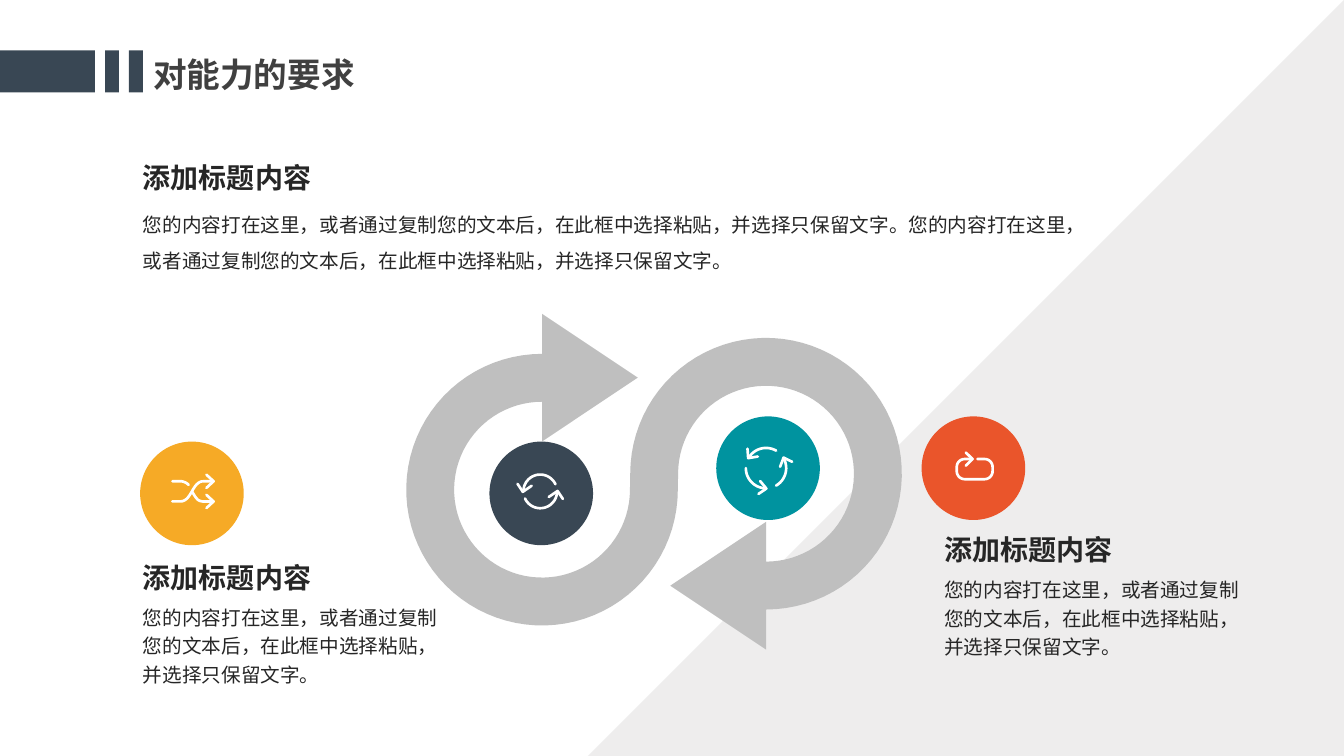
from dataclasses import dataclass
from math import cos, radians, sin

from lxml.etree import SubElement
from pptx import Presentation
from pptx.dml.color import RGBColor
from pptx.enum.shapes import MSO_SHAPE
from pptx.enum.text import MSO_ANCHOR, MSO_AUTO_SIZE, PP_ALIGN
from pptx.oxml.ns import qn
from pptx.util import Pt


@dataclass(frozen=True)
class Theme:
    navy: str = "394754"
    teal: str = "00939F"
    amber: str = "F6AA26"
    orange: str = "EA552B"
    white: str = "FFFFFF"
    ribbon: str = "BFBFBF"
    backdrop: str = "E7E6E6"
    title: str = "404040"
    text: str = "262626"
    latin_font: str = "Arial"
    chinese_font: str = "Noto Sans CJK SC"
    title_size: int = 24
    heading_size: int = 20
    body_size: int = 14
    icon_line: float = 1.9


THEME = Theme()
HEADING = "添加标题内容"
BODY = "您的内容打在这里，或者通过复制您的文本后，在此框中选择粘贴，并选择只保留文字。"


def arc(center, radius, start, end, steps=32):
    angles = [radians(start + (end - start) * step / steps) for step in range(steps + 1)]
    return [(center[0] + radius * cos(a), center[1] + radius * sin(a)) for a in angles]


def bezier(first, second, third, fourth, steps=16):
    points = []
    for step in range(steps + 1):
        t = step / steps
        weights = ((1 - t) ** 3, 3 * t * (1 - t) ** 2, 3 * t * t * (1 - t), t ** 3)
        corners = (first, second, third, fourth)
        points.append(tuple(sum(w * c[axis] for w, c in zip(weights, corners)) for axis in (0, 1)))
    return points


def turn(points, pivot, angle):
    c, s = cos(radians(angle)), sin(radians(angle))
    px, py = pivot
    return [(px + (x - px) * c - (y - py) * s, py + (x - px) * s + (y - py) * c) for x, y in points]


def shift(points, dx, dy):
    return [(x + dx, y + dy) for x, y in points]


def set_fill(shape, color):
    shape.shadow.inherit = False
    shape.fill.solid()
    shape.fill.fore_color.rgb = RGBColor.from_string(color)
    shape.line.fill.background()


def add_solid(slide, preset, left, top, width, height, color):
    shape = slide.shapes.add_shape(preset, Pt(left), Pt(top), Pt(width), Pt(height))
    set_fill(shape, color)
    return shape


def add_outline(slide, points, close):
    corners = [(Pt(x), Pt(y)) for x, y in points]
    builder = slide.shapes.build_freeform(*corners[0], scale=1.0)
    builder.add_line_segments(corners[1:], close=close)
    return builder.convert_to_shape()


def add_stroke(slide, points):
    shape = add_outline(slide, points, False)
    shape.shadow.inherit = False
    shape.fill.background()
    shape.line.color.rgb = RGBColor.from_string(THEME.white)
    shape.line.width = Pt(THEME.icon_line)
    line = shape.element.spPr.find(qn("a:ln"))
    line.set("cap", "rnd")
    SubElement(line, qn("a:round"))
    return shape


def write_text(frame, text, size, color, spacing, bold, latin_font):
    frame.vertical_anchor = MSO_ANCHOR.TOP
    paragraph = frame.paragraphs[0]
    paragraph.alignment = PP_ALIGN.LEFT
    paragraph.line_spacing = spacing
    run = paragraph.add_run()
    run.text = text
    run.font.size = Pt(size)
    run.font.bold = bold
    run.font.name = latin_font
    run.font.color.rgb = RGBColor.from_string(color)
    SubElement(run.font._element, qn("a:ea")).set("typeface", THEME.chinese_font)


def add_text(slide, left, top, width, height, text, size, spacing, bold=False):
    box = slide.shapes.add_textbox(Pt(left), Pt(top), Pt(width), Pt(height))
    box.text_frame.word_wrap = True
    write_text(box.text_frame, text, size, THEME.text, spacing, bold, THEME.chinese_font)


def add_section(slide, left, top, width, height, body, spacing=1.2):
    add_text(slide, left, top, 186, 34, HEADING, THEME.heading_size, 1.2, True)
    add_text(slide, left, top + 34, width, height, body, THEME.body_size, spacing)


def add_title(slide, text):
    title = slide.shapes.title
    title.left, title.top, title.width, title.height = Pt(102.2), Pt(34.7), Pt(160), Pt(36.3)
    title.text_frame.word_wrap = False
    title.text_frame.auto_size = MSO_AUTO_SIZE.NONE
    write_text(title.text_frame, text, THEME.title_size, THEME.title, 1.0, True, THEME.latin_font)


def add_backdrop(slide):
    triangle = add_solid(slide, MSO_SHAPE.RIGHT_TRIANGLE, 420, 0, 540, 540, THEME.backdrop)
    triangle.element.spPr.find(qn("a:xfrm")).set("flipH", "1")
    color = triangle.element.spPr.find(qn("a:solidFill"))[0]
    SubElement(color, qn("a:alpha")).set("val", "70000")


def add_ribbon(slide):
    ring = (387.2, 349.8)
    middle = (467.2, 344.1)
    x = ring[0]
    arrowhead = [(x, 315.4), (455.6, 269.8), (x, 224.2)]
    half = arc(ring, 62.8, 0, 270, 64) + arrowhead + arc(ring, 97, 270, 0, 64)
    set_fill(add_outline(slide, half + turn(half, middle, 180), True), THEME.ribbon)


def shuffle_icon():
    head = [(10.4, -13.3), (15.5, -8.6), (10.4, -3.9)]
    return [
        [(-14, 5.8)] + bezier((-8.3, 5.8), (0, 5.8), (0, -8.6), (8.3, -8.6)) + [(15.5, -8.6)],
        [(-14, -8.6)] + bezier((-8.3, -8.6), (-6, -8.6), (-3.7, -7.5), (-2.4, -6)),
        bezier((0, -1.4), (3, 3.5), (4, 5.8), (8.3, 5.8)) + [(15.5, 5.8)],
        head,
        shift(head, 0, 14.4),
    ]


def cycle_icon(center, radius, start, end, head, count):
    strokes = [arc(center, radius, start, end), head]
    return [turn(stroke, center, 360 * n / count) for n in range(count) for stroke in strokes]


def loop_icon():
    corners = [(8, -0.8, 270), (8, 2.2, 0), (-6.2, 2.2, 90), (-6.2, -0.8, 180)]
    track = [(2.9, -6.5)]
    for x, y, start in corners:
        track += arc((x, y), 5.7, start, start + 90, 8)
    return [track + [(-0.4, -6.5)], [(-5.4, -11.2), (-0.7, -6.5), (-5.4, -1.8)]]


def add_badge(slide, x, y, color, strokes):
    diameter = 74
    add_solid(slide, MSO_SHAPE.OVAL, x - diameter / 2, y - diameter / 2, diameter, diameter, color)
    lines = [add_stroke(slide, shift(stroke, x, y)) for stroke in strokes]
    slide.shapes.add_group_shape(shapes=lines)


def main():
    presentation = Presentation()
    presentation.slide_width, presentation.slide_height = Pt(960), Pt(540)
    slide = presentation.slides.add_slide(presentation.slide_layouts[5])

    add_backdrop(slide)
    for left, width in ((0, 67.8), (75, 10), (92, 10)):
        add_solid(slide, MSO_SHAPE.RECTANGLE, left, 36, width, 30, THEME.navy)
    add_title(slide, "对能力的要求")
    add_ribbon(slide)

    two_arrows = cycle_icon((-0.7, -1.4), 12, 180, 335,
                            [(-16.9, -6.8), (-13.1, -1.1), (-6.8, -5.4)], 2)
    three_arrows = cycle_icon((-1.4, 0), 14.4, 180, 90,
                              [(-5.6, 9.2), (-1.2, 14.6), (-6.8, 18.4)], 3)
    add_badge(slide, 386.6, 352.4, THEME.navy, two_arrows)
    add_badge(slide, 548.6, 334.4, THEME.teal, three_arrows)
    add_badge(slide, 137.1, 352.4, THEME.amber, shuffle_icon())
    add_badge(slide, 695.3, 334.4, THEME.orange, loop_icon())

    add_section(slide, 667.5, 372.2, 235.4, 68.4, BODY)
    add_section(slide, 95, 392, 235.4, 68.4, BODY)
    add_section(slide, 95, 106.4, 680, 58.3, BODY * 2, 1.5)
    presentation.save("out.pptx")


if __name__ == "__main__":
    main()
